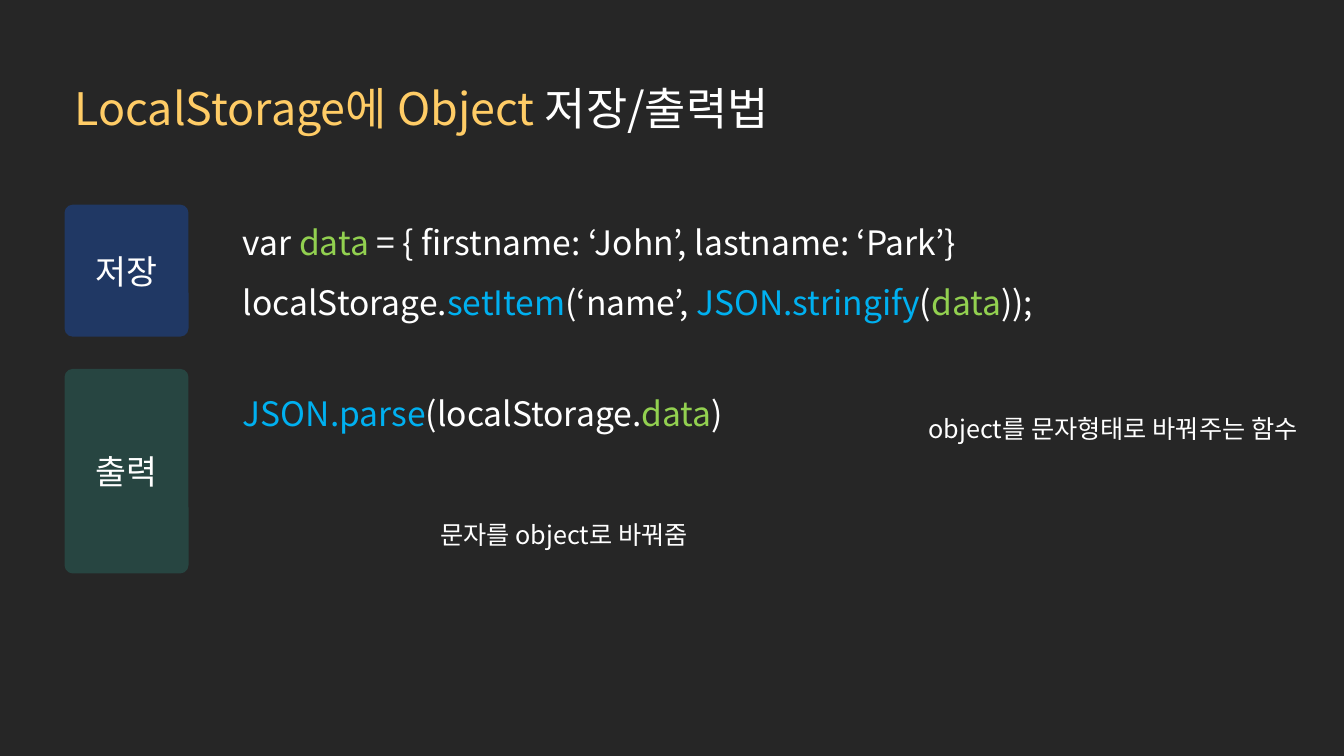
from lxml.etree import SubElement
from pptx import Presentation
from pptx.dml.color import RGBColor
from pptx.enum.shapes import MSO_SHAPE
from pptx.enum.text import MSO_ANCHOR, MSO_AUTO_SIZE, PP_ALIGN
from pptx.oxml.ns import qn
from pptx.util import Inches, Pt

COLORS = {
    "background": "262626",
    "white": "FFFFFF",
    "gold": "FFCC66",
    "green": "92D050",
    "cyan": "00B0F0",
    "navy": "203864",
    "teal": "274541",
}
FONT = "Noto Sans CJK KR"
LABEL_LEFT, LABEL_WIDTH = 0.64, 1.23
CODE_LEFT, CODE_WIDTH = 2.31, 8.76


def color(name):
    return RGBColor.from_string(COLORS[name])


def write_text(frame, lines, size=24, spacing=None, align=PP_ALIGN.LEFT, anchor=MSO_ANCHOR.TOP):
    """Fill a frame with lines, each a list of (text, color name) pairs."""
    frame.word_wrap = True
    frame.auto_size = MSO_AUTO_SIZE.NONE
    frame.vertical_anchor = anchor
    for index, line in enumerate(lines):
        paragraph = frame.add_paragraph() if index else frame.paragraphs[0]
        paragraph.alignment = align
        paragraph.line_spacing = spacing
        for text, color_name in line:
            run = paragraph.add_run()
            run.text = text
            run.font.size = Pt(size)
            run.font.color.rgb = color(color_name)
            run.font.name = FONT
            SubElement(run.font._element, qn("a:ea"), typeface=FONT)


class SlideBuilder:
    def __init__(self, presentation):
        self.slide = presentation.slides.add_slide(presentation.slide_layouts[5])
        fill = self.slide.background.fill
        fill.solid()
        fill.fore_color.rgb = color("background")

    def title(self, line, left, top, width, height):
        title = self.slide.shapes.title
        title.left, title.top = Inches(left), Inches(top)
        title.width, title.height = Inches(width), Inches(height)
        write_text(title.text_frame, [line], size=32, spacing=1.5)

    def label(self, text, fill_name, top, height):
        shape = self.slide.shapes.add_shape(
            MSO_SHAPE.ROUNDED_RECTANGLE,
            Inches(LABEL_LEFT), Inches(top), Inches(LABEL_WIDTH), Inches(height))
        shape.adjustments[0] = 0.067
        shape.shadow.inherit = False
        shape.fill.solid()
        shape.fill.fore_color.rgb = color(fill_name)
        shape.line.fill.background()
        write_text(shape.text_frame, [[(text, "white")]],
                   align=PP_ALIGN.CENTER, anchor=MSO_ANCHOR.MIDDLE)

    def text(self, lines, left, top, width, height, **text_format):
        box = self.slide.shapes.add_textbox(
            Inches(left), Inches(top), Inches(width), Inches(height))
        write_text(box.text_frame, lines, **text_format)

    def code(self, lines, top, height):
        self.text(lines, CODE_LEFT, top, CODE_WIDTH, height, spacing=1.5)

    def note(self, text, left, top, width):
        self.text([[(text, "white")]], left, top, width, 0.4, size=18)


def main():
    presentation = Presentation()
    presentation.slide_width, presentation.slide_height = Inches(13.33), Inches(7.5)
    builder = SlideBuilder(presentation)

    builder.title([("LocalStorage에 Object ", "gold"), ("저장/출력법", "white")],
                  0.64, 0.48, 12.14, 1.46)

    builder.label("저장", "navy", 2.03, 1.31)
    builder.code([
        [("var ", "white"), ("data", "green"),
         (" = { firstname: ‘John’, lastname: ‘Park’}", "white")],
        [("localStorage.", "white"), ("setItem", "cyan"), ("(‘name’, ", "white"),
         ("JSON.stringify", "cyan"), ("(", "white"), ("data", "green"), ("));", "white")],
    ], 1.95, 1.31)

    builder.label("출력", "teal", 3.66, 2.03)
    builder.code([
        [("JSON.parse", "cyan"), ("(localStorage.", "white"), ("data", "green"), (")", "white")],
    ], 3.65, 0.71)

    builder.note("object를 문자형태로 바꿔주는 함수", 9.11, 4.05, 3.89)
    builder.note("문자를 object로 바꿔줌", 4.27, 5.1, 2.67)
    presentation.save("out.pptx")


if __name__ == "__main__":
    main()
